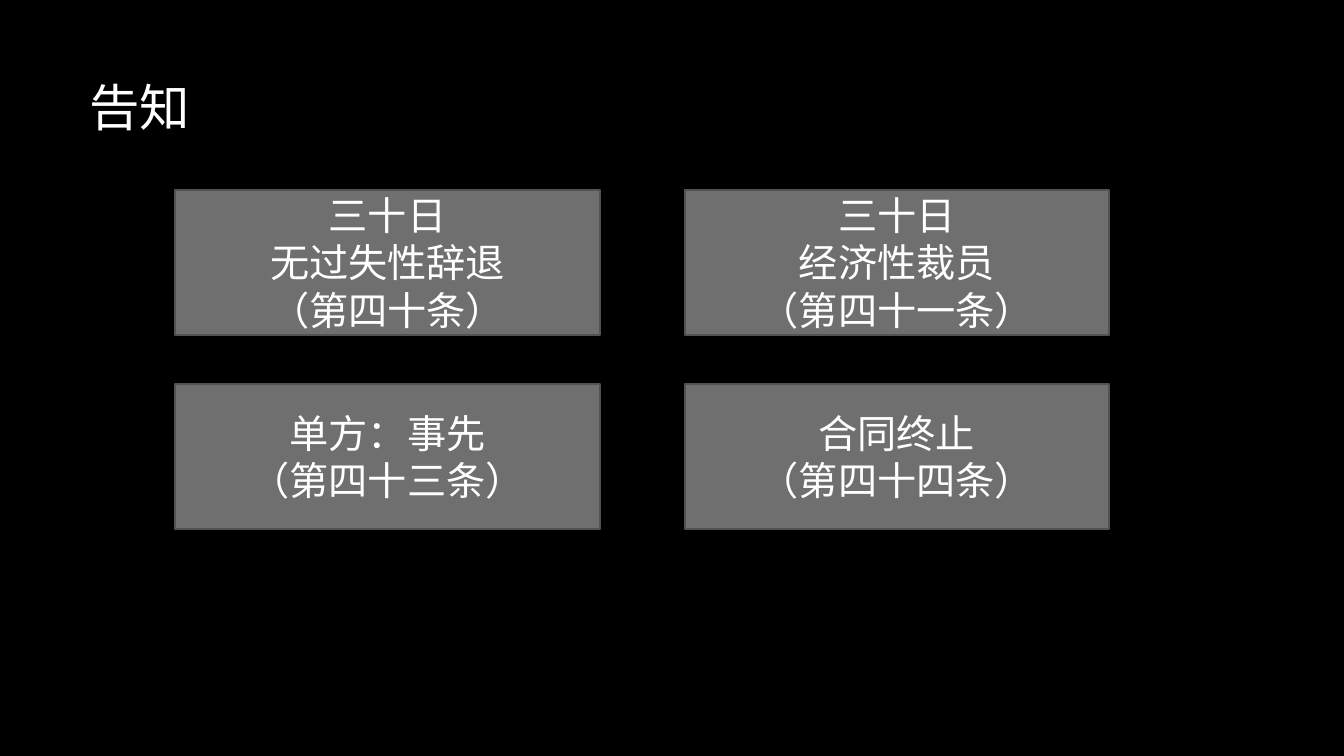
from dataclasses import dataclass

from lxml import etree
from pptx import Presentation
from pptx.dml.color import RGBColor
from pptx.enum.shapes import MSO_SHAPE
from pptx.enum.text import MSO_ANCHOR, MSO_AUTO_SIZE, PP_ALIGN
from pptx.oxml.ns import qn
from pptx.util import Cm, Pt

RECT = MSO_SHAPE.RECTANGLE
TOP, MIDDLE = MSO_ANCHOR.TOP, MSO_ANCHOR.MIDDLE
LEFT, CENTER = PP_ALIGN.LEFT, PP_ALIGN.CENTER
NO_AUTOSIZE = MSO_AUTO_SIZE.NONE
TITLE_ONLY = 5


@dataclass(frozen=True)
class Theme:
    background: RGBColor = RGBColor(0x00, 0x00, 0x00)
    text: RGBColor = RGBColor(0xFF, 0xFF, 0xFF)
    card: RGBColor = RGBColor(0x6F, 0x6F, 0x6F)
    border: RGBColor = RGBColor(0x52, 0x52, 0x52)
    font: str = "Noto Sans CJK SC"
    title_size: Pt = Pt(36)
    card_size: Pt = Pt(28)


theme = Theme()


def add_run(p, text, size):
    r = p.add_run()
    r.text = text
    r.font.size = size
    r.font.color.rgb = theme.text
    r.font.name = theme.font
    # Chinese characters take the East Asian typeface
    ea = etree.SubElement(r.font._element, qn("a:ea"))
    ea.set("typeface", theme.font)


# Slide
prs = Presentation()
prs.slide_width, prs.slide_height = Cm(33.86), Cm(19.05)
s = prs.slides.add_slide(prs.slide_layouts[TITLE_ONLY])
s.background.fill.solid()
s.background.fill.fore_color.rgb = theme.background

# Title
title = s.shapes.title
title.left, title.top, title.width, title.height = Cm(2), Cm(1.78), Cm(3.07), Cm(1.8)
tf = title.text_frame
tf.word_wrap = False
tf.auto_size = NO_AUTOSIZE
tf.vertical_anchor = TOP
p = tf.paragraphs[0]
p.alignment = LEFT
add_run(p, "告知", theme.title_size)

# Cards, two to a row
cards = [
    ["三十日", "无过失性辞退", "（第四十条）"],
    ["三十日", "经济性裁员", "（第四十一条）"],
    ["单方：事先", "（第四十三条）"],
    ["合同终止", "（第四十四条）"],
]
columns = 2
grid_left, grid_top = 4.42, 4.78
card_width, card_height = 10.69, 3.66
gap_x, gap_y = 2.14, 1.24

for i, lines in enumerate(cards):
    row, col = divmod(i, columns)
    x = grid_left + col * (card_width + gap_x)
    y = grid_top + row * (card_height + gap_y)
    sp = s.shapes.add_shape(RECT, Cm(x), Cm(y), Cm(card_width), Cm(card_height))
    sp.shadow.inherit = False
    sp.fill.solid()
    sp.fill.fore_color.rgb = theme.card
    sp.line.color.rgb = theme.border
    sp.line.width = Pt(1.5)
    tf = sp.text_frame
    tf.word_wrap = True
    tf.vertical_anchor = MIDDLE
    for n, line in enumerate(lines):
        p = tf.add_paragraph() if n else tf.paragraphs[0]
        p.alignment = CENTER
        add_run(p, line, theme.card_size)

prs.save("out.pptx")
